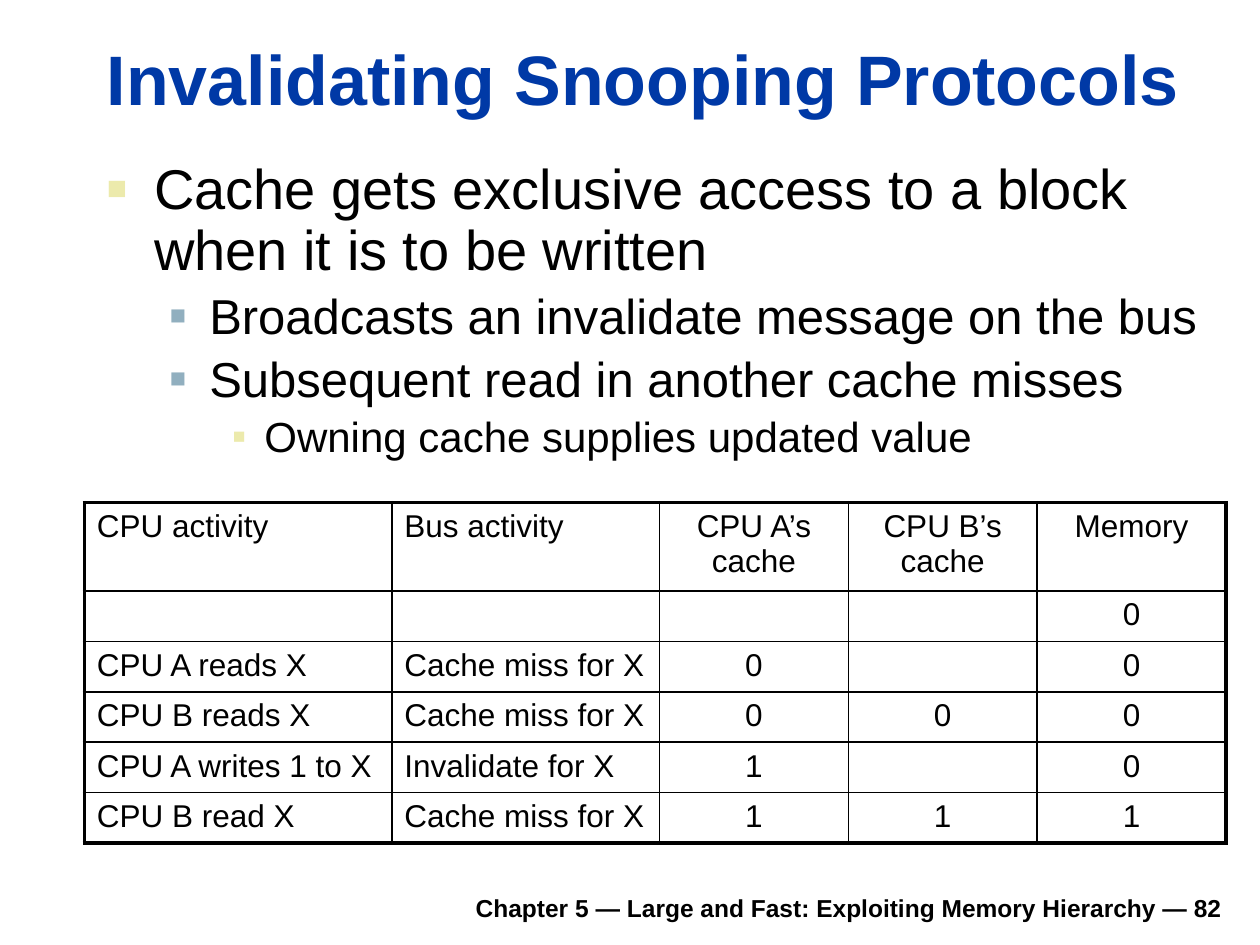
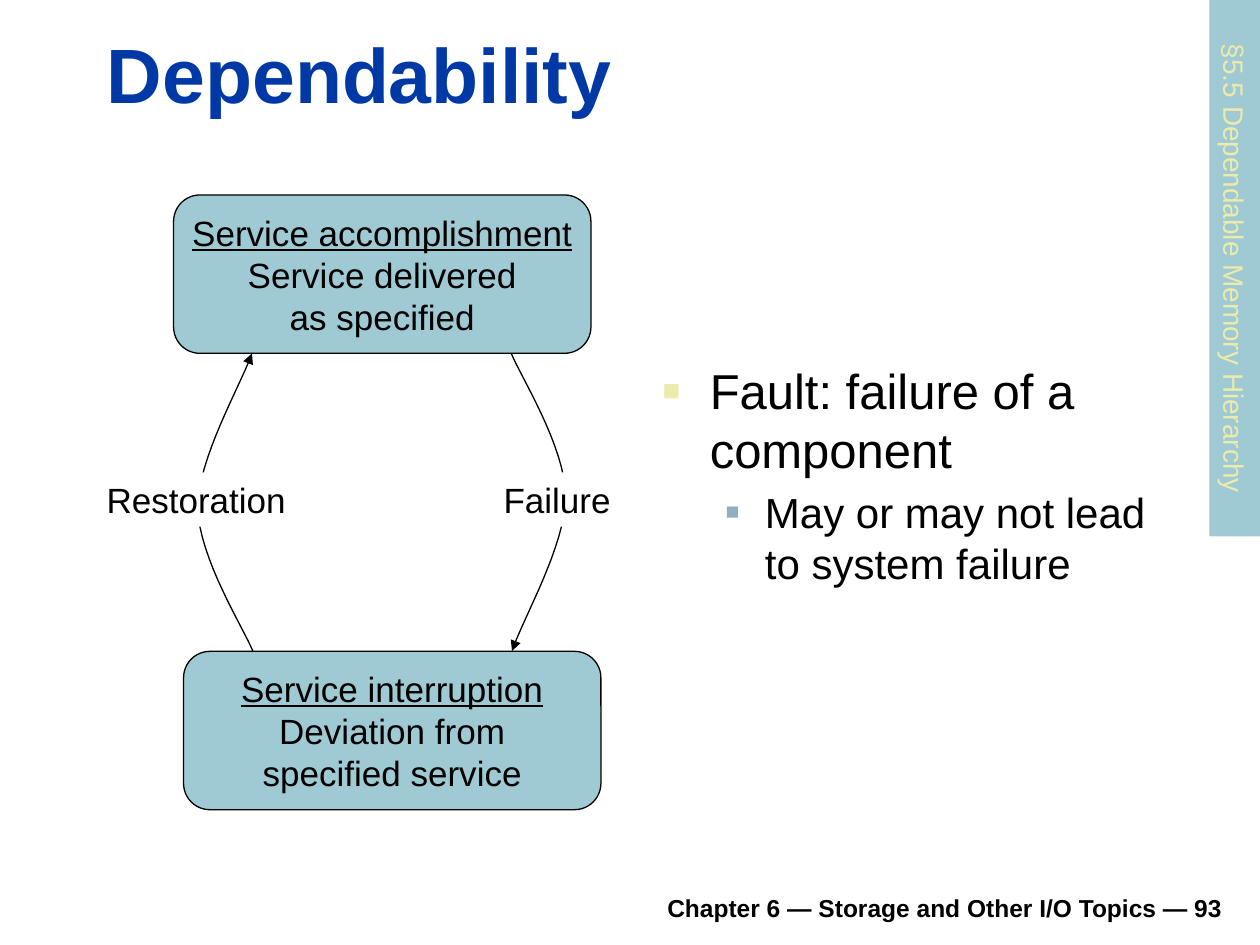
import dataclasses

import lxml.etree
import pptx
import pptx.dml.color
import pptx.enum.shapes
import pptx.enum.text
import pptx.oxml.ns
import pptx.util

Pt = pptx.util.Pt
qn = pptx.oxml.ns.qn
Align = pptx.enum.text.PP_ALIGN
Anchor = pptx.enum.text.MSO_ANCHOR
Shapes = pptx.enum.shapes.MSO_SHAPE


@dataclasses.dataclass(frozen=True)
class Theme:
    font: str = "Arial"
    black: str = "000000"
    white: str = "FFFFFF"
    title: str = "0039A6"
    teal: str = "9FCAD3"
    cream: str = "ECEAAC"
    steel: str = "91AFBF"
    footer_size: int = 14
    section_size: int = 16
    table_size: int = 18
    diagram_size: int = 20
    thin: float = 0.75
    grid: float = 1
    frame: float = 2.25


@dataclasses.dataclass(frozen=True)
class BulletLevel:
    margin: float
    hang: float
    color: str
    percent: int


THEME = Theme()
LEVELS = [
    BulletLevel(27, 27, THEME.cream, 60),
    BulletLevel(58.5, 22.5, THEME.steel, 55),
    BulletLevel(90, 18, THEME.cream, 50),
]

ACTIVITY_ROWS = [
    ["CPU activity", "Bus activity", "CPU A’s cache", "CPU B’s cache", "Memory"],
    ["", "", "", "", "0"],
    ["CPU A reads X", "Cache miss for X", "0", "", "0"],
    ["CPU B reads X", "Cache miss for X", "0", "0", "0"],
    ["CPU A writes 1 to X", "Invalidate for X", "1", "", "0"],
    ["CPU B read X", "Cache miss for X", "1", "1", "1"],
]


def rgb(color):
    return pptx.dml.color.RGBColor.from_string(color)


def write(paragraph, text, size, color=THEME.black, bold=False, underline=False,
          align=Align.LEFT):
    paragraph.alignment = align
    for index, line in enumerate(text.split("\n")):
        if index:
            paragraph.add_line_break()
        run = paragraph.add_run()
        run.text = line
        run.font.name = THEME.font
        run.font.size = Pt(size)
        run.font.bold = bold
        run.font.underline = underline
        run.font.color.rgb = rgb(color)


def add_text_box(slide, box, anchor):
    frame = slide.shapes.add_textbox(*map(Pt, box)).text_frame
    frame.word_wrap = True
    frame.vertical_anchor = anchor
    return frame


def add_title(slide, text, top, height, size):
    frame = add_text_box(slide, (54, top, 650, height), Anchor.BOTTOM)
    write(frame.paragraphs[0], text, size, THEME.title, bold=True)


def add_footer(slide, text):
    frame = add_text_box(slide, (133.2, 502.5, 572.4, 28), Anchor.BOTTOM)
    write(frame.paragraphs[0], text, THEME.footer_size, bold=True, align=Align.RIGHT)


def set_bullet(paragraph, level):
    style = LEVELS[level]
    paragraph.level = level
    properties = paragraph._p.get_or_add_pPr()
    properties.set("marL", str(Pt(style.margin)))
    properties.set("indent", str(-Pt(style.hang)))
    color = lxml.etree.SubElement(properties, qn("a:buClr"))
    lxml.etree.SubElement(color, qn("a:srgbClr"), val=style.color)
    lxml.etree.SubElement(properties, qn("a:buSzPct"), val=str(style.percent * 1000))
    lxml.etree.SubElement(properties, qn("a:buFont"), typeface=THEME.font)
    lxml.etree.SubElement(properties, qn("a:buChar"), char="■")


def add_bullets(slide, box, items, sizes, line_spacing=1.0):
    frame = add_text_box(slide, box, Anchor.TOP)
    for index, (level, text) in enumerate(items):
        paragraph = frame.add_paragraph() if index else frame.paragraphs[0]
        set_bullet(paragraph, level)
        paragraph.line_spacing = line_spacing
        paragraph.space_before = Pt(0.2 * sizes[level] if index else 0)
        write(paragraph, text, sizes[level])


def set_border(cell, side, width):
    properties = cell._tc.get_or_add_tcPr()
    line = lxml.etree.SubElement(properties, qn(f"a:ln{side}"), w=str(Pt(width)))
    fill = lxml.etree.SubElement(line, qn("a:solidFill"))
    lxml.etree.SubElement(fill, qn("a:srgbClr"), val=THEME.black)


def add_activity_table(slide, rows, left, top, widths, heights):
    shape = slide.shapes.add_table(len(rows), len(widths), Pt(left), Pt(top),
                                   Pt(sum(widths)), Pt(sum(heights)))
    table = shape.table
    table.first_row = table.horz_banding = False
    for column, width in zip(table.columns, widths):
        column.width = Pt(width)
    for row, height in zip(table.rows, heights):
        row.height = Pt(height)
    for row_index, values in enumerate(rows):
        for column_index, text in enumerate(values):
            cell = table.cell(row_index, column_index)
            outer = {
                "L": column_index == 0,
                "R": column_index == len(widths) - 1,
                "T": row_index == 0,
                "B": row_index == len(rows) - 1,
            }
            for side, is_outer in outer.items():
                set_border(cell, side, THEME.frame if is_outer else THEME.grid)
            cell.fill.background()
            if text:
                align = Align.LEFT if column_index < 2 else Align.CENTER
                write(cell.text_frame.paragraphs[0], text, THEME.table_size, align=align)


def add_block(slide, kind, box, fill, outlined=False):
    shape = slide.shapes.add_shape(kind, *map(Pt, box))
    shape.shadow.inherit = False
    shape.fill.solid()
    shape.fill.fore_color.rgb = rgb(fill)
    if outlined:
        shape.line.color.rgb = rgb(THEME.black)
        shape.line.width = Pt(THEME.thin)
    else:
        shape.line.fill.background()
    shape.text_frame.word_wrap = False
    shape.text_frame.vertical_anchor = Anchor.MIDDLE
    return shape


def add_state(slide, left, top, name, description):
    shape = add_block(slide, Shapes.ROUNDED_RECTANGLE, (left, top, 238.5, 90.5),
                      THEME.teal, outlined=True)
    frame = shape.text_frame
    write(frame.paragraphs[0], name, THEME.diagram_size, underline=True,
          align=Align.CENTER)
    write(frame.add_paragraph(), description, THEME.diagram_size, align=Align.CENTER)


def add_transition_label(slide, left, width, text, align):
    shape = add_block(slide, Shapes.RECTANGLE, (left, 270, width, 31), THEME.white)
    write(shape.text_frame.paragraphs[0], text, THEME.diagram_size, align=align)


def add_section_tab(slide, text):
    length, thickness = 306.5, 29
    center_x, center_y = 720 - thickness / 2, length / 2
    box = (center_x - length / 2, center_y - thickness / 2, length, thickness)
    shape = add_block(slide, Shapes.RECTANGLE, box, THEME.teal)
    shape.rotation = 90
    write(shape.text_frame.paragraphs[0], text, THEME.section_size, THEME.cream,
          align=Align.CENTER)


def curve_points(start, first_control, second_control, end, steps=16):
    for step in range(1, steps + 1):
        t = step / steps
        weights = ((1 - t) ** 3, 3 * t * (1 - t) ** 2, 3 * t * t * (1 - t), t ** 3)
        corners = (start, first_control, second_control, end)
        yield tuple(Pt(sum(weight * corner[axis]
                           for weight, corner in zip(weights, corners)))
                    for axis in (0, 1))


def add_curved_arrow(slide, points):
    builder = slide.shapes.build_freeform(*map(Pt, points[0]))
    for first in range(0, len(points) - 1, 3):
        builder.add_line_segments(list(curve_points(*points[first:first + 4])),
                                  close=False)
    shape = builder.convert_to_shape()
    shape.shadow.inherit = False
    shape.fill.background()
    shape.line.color.rgb = rgb(THEME.black)
    shape.line.width = Pt(THEME.thin)
    line = shape._element.spPr.find(qn("a:ln"))
    lxml.etree.SubElement(line, qn("a:tailEnd"), type="triangle")


def build_snooping_slide(slide):
    add_footer(slide, "Chapter 5 — Large and Fast: Exploiting Memory Hierarchy — 82")
    add_title(slide, "Invalidating Snooping Protocols", 16.5, 55.5, 40)
    add_bullets(slide, (54, 88.5, 651.5, 187), [
        (0, "Cache gets exclusive access to a block when it is to be written"),
        (1, "Broadcasts an invalidate message on the bus"),
        (1, "Subsequent read in another cache misses"),
        (2, "Owning cache supplies updated value"),
    ], sizes=(32, 28, 24), line_spacing=0.9)
    add_activity_table(slide, ACTIVITY_ROWS, 48.2, 287.2,
                       widths=[175.7, 153] + [107.9] * 3,
                       heights=[50.4] + [28.8] * 5)


def build_dependability_slide(slide):
    add_footer(slide, "Chapter 6 — Storage and Other I/O Topics — 93")
    add_title(slide, "Dependability", 11.5, 60, 44)
    add_bullets(slide, (371.5, 202.5, 311.5, 289.5), [
        (0, "Fault: failure of a component"),
        (1, "May or may not lead to system failure"),
    ], sizes=(28, 24))
    add_state(slide, 99.2, 111.4, "Service accomplishment",
              "Service delivered\nas specified")
    add_state(slide, 104.9, 372.2, "Service interruption",
              "Deviation from\nspecified service")
    add_curved_arrow(slide, [
        (292.2, 202), (297.5, 215), (323.2, 255.6), (323.2, 283.7),
        (323.2, 311.8), (298.8, 353.5), (292.6, 372),
    ])
    add_transition_label(slide, 280.6, 75.5, "Failure", Align.CENTER)
    add_curved_arrow(slide, [
        (144.5, 372), (139, 358.6), (113.8, 319), (113, 290.2),
        (113, 262.1), (137.5, 220.3), (144, 202),
    ])
    add_transition_label(slide, 54, 116.5, "Restoration", Align.RIGHT)
    add_section_tab(slide, "§5.5 Dependable Memory Hierarchy")


def main():
    presentation = pptx.Presentation()
    presentation.slide_width = Pt(720)
    presentation.slide_height = Pt(540)
    for build in (build_snooping_slide, build_dependability_slide):
        build(presentation.slides.add_slide(presentation.slide_layouts[6]))
    presentation.save("out.pptx")


if __name__ == "__main__":
    main()
